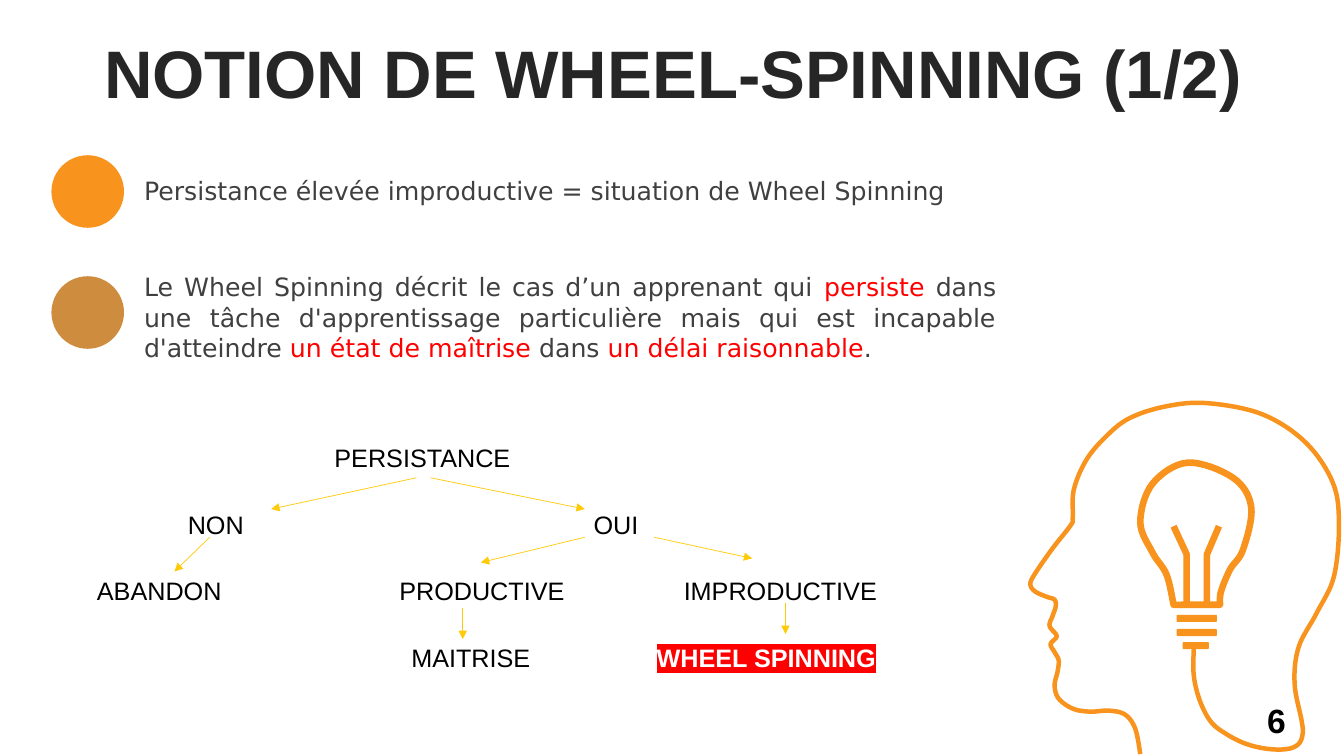
from dataclasses import dataclass
from lxml import etree
from pptx import Presentation
from pptx.dml.color import RGBColor
from pptx.enum.shapes import MSO_CONNECTOR, MSO_SHAPE
from pptx.enum.text import MSO_ANCHOR, PP_ALIGN
from pptx.oxml.ns import qn
from pptx.util import Inches, Pt

STRAIGHT = MSO_CONNECTOR.STRAIGHT
OVAL, BAR = MSO_SHAPE.OVAL, MSO_SHAPE.ROUNDED_RECTANGLE
MIDDLE, TOP = MSO_ANCHOR.MIDDLE, MSO_ANCHOR.TOP
LEFT, CENTER, JUSTIFY = PP_ALIGN.LEFT, PP_ALIGN.CENTER, PP_ALIGN.JUSTIFY


@dataclass(frozen=True)
class Theme:
    orange: RGBColor = RGBColor.from_string("F8931D")
    bronze: RGBColor = RGBColor.from_string("CE8D3E")
    arrow: RGBColor = RGBColor.from_string("FFCA08")
    heading: RGBColor = RGBColor.from_string("262626")
    body: RGBColor = RGBColor.from_string("404040")
    red: RGBColor = RGBColor.from_string("FF0000")
    black: RGBColor = RGBColor.from_string("000000")
    white: RGBColor = RGBColor.from_string("FFFFFF")
    sans: str = "Arial"
    reading: str = "DejaVu Sans"
    title_size: int = 48
    text_size: int = 18
    number_size: int = 24


theme = Theme()


def write(shape, pieces, font, size, align, anchor=MIDDLE, bold=False):
    frame = shape.text_frame
    frame.word_wrap = True
    frame.vertical_anchor = anchor
    paragraph = frame.paragraphs[0]
    paragraph.alignment = align
    for words, color in pieces:
        run = paragraph.add_run()
        run.text = words
        run.font.name = font
        run.font.size = Pt(size)
        run.font.bold = bold
        run.font.color.rgb = color
    return paragraph


def smooth_curve(points, steps=8):
    padded = [points[0], *points, points[-1]]
    curve = [points[0]]
    for a, b, c, d in zip(padded, padded[1:], padded[2:], padded[3:]):
        for step in range(1, steps + 1):
            t = step / steps
            curve.append(tuple(
                (2 * q + (r - p) * t + (2 * p - 5 * q + 4 * r - s) * t ** 2
                 + (3 * q - p - 3 * r + s) * t ** 3) / 2
                for p, q, r, s in zip(a, b, c, d)))
    return curve


presentation = Presentation()
presentation.slide_width = Inches(13.33)
presentation.slide_height = Inches(7.5)
slide = presentation.slides.add_slide(presentation.slide_layouts[5])
shapes = slide.shapes

title = shapes.title
title.left, title.top = Inches(0.35), Inches(0.37)
title.width, title.height = Inches(12.66), Inches(0.79)
heading = write(title, [("NOTION DE WHEEL-SPINNING (1/2)", theme.heading)],
                theme.sans, theme.title_size, CENTER, bold=True)
heading.line_spacing = 0.9

head = [
    (11.31, 7.48), (11.26, 7.23), (11.16, 7.09), (11.0, 7.05), (10.81, 7.06),
    (10.64, 7.03), (10.5, 6.93), (10.46, 6.8), (10.49, 6.66), (10.5, 6.55),
    (10.46, 6.47), (10.42, 6.39), (10.48, 6.31), (10.41, 6.21), (10.44, 6.11),
    (10.47, 6.02), (10.46, 5.95), (10.38, 5.92), (10.27, 5.87), (10.22, 5.8),
    (10.26, 5.7), (10.44, 5.44), (10.62, 5.21), (10.64, 5.13), (10.65, 4.86),
    (10.77, 4.57), (10.96, 4.34), (11.2, 4.15), (11.57, 4.03), (11.98, 4),
    (12.52, 4.11), (12.95, 4.39), (13.22, 4.79), (13.28, 5.2), (13.23, 5.72),
    (13.06, 6.08), (12.88, 6.42), (12.84, 6.78), (12.91, 7.15), (12.92, 7.28),
    (12.88, 7.38), (12.77, 7.43), (12.58, 7.43), (12.36, 7.38), (12.16, 7.28),
    (12.01, 7.16), (11.9, 6.95), (11.84, 6.7), (11.84, 6.44),
]
bulb = [
    (11.64, 6), (11.57, 5.7), (11.43, 5.48), (11.31, 5.18), (11.43, 4.8),
    (11.78, 4.59), (12.23, 4.74), (12.41, 5.03), (12.33, 5.45), (12.2, 5.65),
    (12.11, 5.87), (12.1, 6),
]
left_filament = [(11.64, 5.22), (11.77, 5.5), (11.77, 6)]
right_filament = [(12.09, 5.22), (11.97, 5.5), (11.97, 6)]
for points, closed, width in [
    (smooth_curve(head), False, 3.2),
    (smooth_curve(bulb), True, 4.7),
    (left_filament, False, 4.7),
    (right_filament, False, 4.7),
]:
    start, *others = [(Inches(x), Inches(y)) for x, y in points]
    builder = shapes.build_freeform(*start)
    builder.add_line_segments(others, close=closed)
    outline = builder.convert_to_shape()
    outline.shadow.inherit = False
    outline.fill.background()
    outline.line.color.rgb = theme.orange
    outline.line.width = Pt(width)

for kind, left, top, width, height, color in [
    (BAR, 11.67, 6.1, 0.4, 0.07, theme.orange),
    (BAR, 11.67, 6.24, 0.4, 0.07, theme.orange),
    (BAR, 11.73, 6.37, 0.26, 0.07, theme.orange),
    (OVAL, 0.51, 1.54, 0.72, 0.72, theme.orange),
    (OVAL, 0.51, 2.74, 0.72, 0.72, theme.bronze),
]:
    shape = shapes.add_shape(kind, Inches(left), Inches(top), Inches(width), Inches(height))
    shape.shadow.inherit = False
    shape.fill.solid()
    shape.fill.fore_color.rgb = color
    shape.line.fill.background()

statements = [
    (1.69, 8.48, 0.4, [
        ("Persistance élevée improductive = situation de Wheel Spinning", theme.body)]),
    (2.64, 8.65, 1.01, [
        ("Le Wheel Spinning décrit le cas d’un apprenant qui ", theme.body),
        ("persiste", theme.red),
        (" dans une tâche d'apprentissage particulière mais qui est incapable d'atteindre ",
         theme.body),
        ("un état de maîtrise", theme.red),
        (" dans ", theme.body),
        ("un délai raisonnable", theme.red),
        (".", theme.body)]),
]
for top, width, height, pieces in statements:
    box = shapes.add_textbox(Inches(1.33), Inches(top), Inches(width), Inches(height))
    write(box, pieces, theme.reading, theme.text_size, JUSTIFY)

tree_rows = [
    [("PERSISTANCE", 4.19)],
    [("NON", 2.14), ("OUI", 6.11)],
    [("ABANDON", 1.58), ("PRODUCTIVE", 4.78), ("IMPRODUCTIVE", 7.74)],
    [("MAITRISE", 4.67), ("WHEEL SPINNING", 7.6)],
]
node_width, node_height, first_row, row_step = 2.6, 0.4, 4.54, 0.66
for row, nodes in enumerate(tree_rows):
    for label, center in nodes:
        node = shapes.add_textbox(
            Inches(center - node_width / 2),
            Inches(first_row + row * row_step - node_height / 2),
            Inches(node_width), Inches(node_height))
        outcome = label == "WHEEL SPINNING"
        color = theme.white if outcome else theme.black
        paragraph = write(node, [(label, color)], theme.sans, theme.text_size,
                          CENTER, bold=outcome)
        if outcome:
            highlight = etree.Element(qn("a:highlight"))
            etree.SubElement(highlight, qn("a:srgbClr"), val=str(theme.red))
            properties = paragraph.runs[0].font.fill._xPr
            properties.find(qn("a:solidFill")).addnext(highlight)

arrows = [
    (4.13, 4.74, 2.69, 5.05), (4.27, 4.74, 5.8, 5.05), (2.08, 5.33, 1.73, 5.67),
    (5.8, 5.33, 4.77, 5.58), (6.49, 5.33, 7.46, 5.54),
    (4.59, 6.03, 4.59, 6.34), (7.79, 5.98, 7.79, 6.29),
]
for ends in arrows:
    arrow = shapes.add_connector(STRAIGHT, *[Inches(value) for value in ends])
    arrow.line.color.rgb = theme.arrow
    arrow.line.width = Pt(0.5)
    etree.SubElement(arrow.line._get_or_add_ln(), qn("a:tailEnd"), type="triangle")
    etree.SubElement(arrow._element.spPr, qn("a:effectLst"))

number = shapes.add_textbox(Inches(12.47), Inches(6.89), Inches(0.8), Inches(0.5))
write(number, [("6", theme.black)], theme.sans, theme.number_size, LEFT, TOP, True)

presentation.save("out.pptx")
